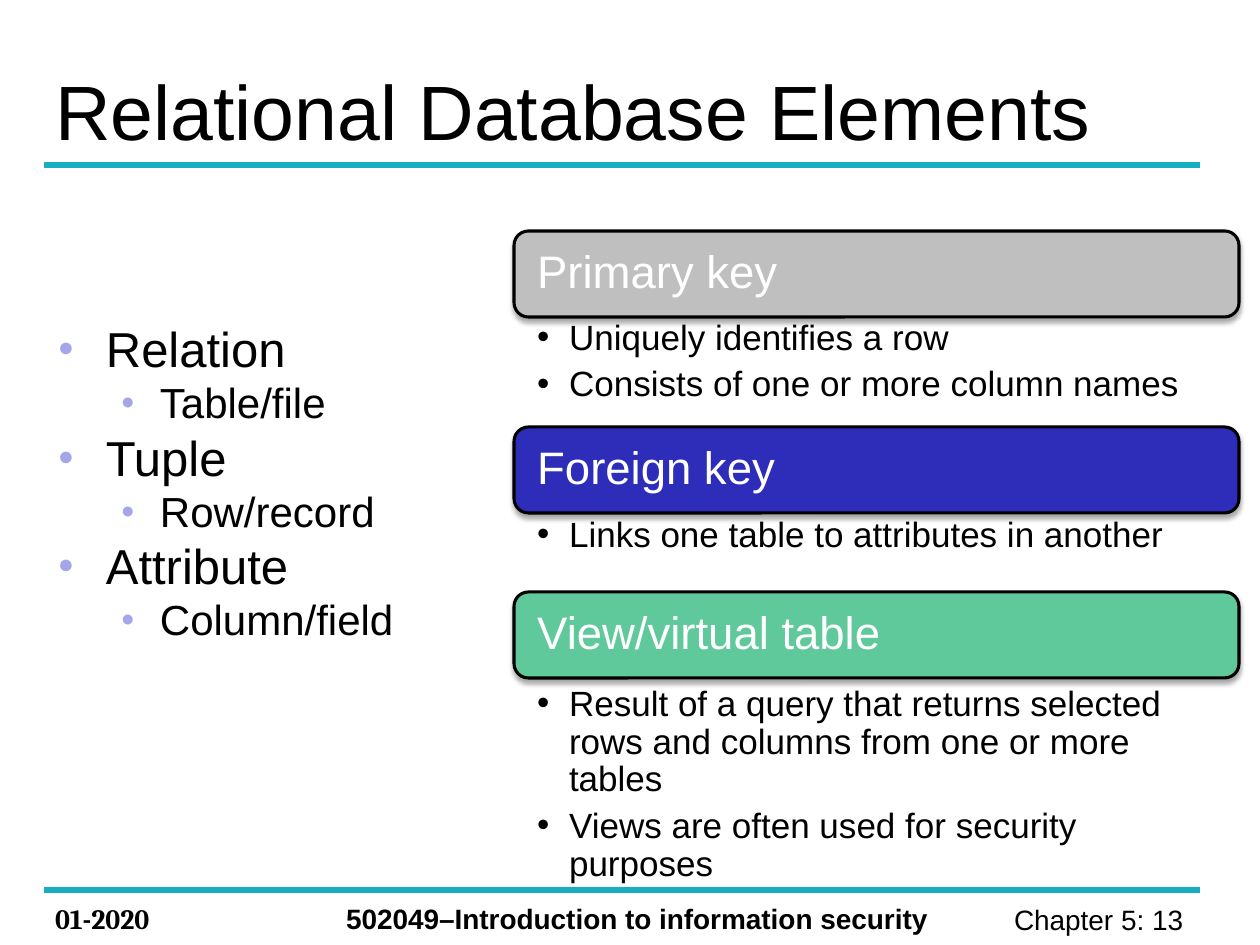
"""Builds the Relational Database Elements slide."""
from lxml import etree
from pptx import Presentation
from pptx.dml.color import RGBColor
from pptx.enum.shapes import MSO_CONNECTOR, MSO_SHAPE
from pptx.enum.text import MSO_ANCHOR, PP_ALIGN
from pptx.oxml.ns import qn
from pptx.util import Pt

PX = 914400 / 126
LEFT, RIGHT = PP_ALIGN.LEFT, PP_ALIGN.RIGHT
TOP, MIDDLE = MSO_ANCHOR.TOP, MSO_ANCHOR.MIDDLE
ROUNDED, STRAIGHT = MSO_SHAPE.ROUNDED_RECTANGLE, MSO_CONNECTOR.STRAIGHT
BLACK = RGBColor(0x00, 0x00, 0x00)
WHITE = RGBColor(0xFF, 0xFF, 0xFF)
TEAL = RGBColor(0x16, 0xAF, 0xC2)
LAVENDER = RGBColor(0xA5, 0xA5, 0xE9)
GREY = RGBColor(0xBF, 0xBF, 0xBF)
BLUE = RGBColor(0x2D, 0x2D, 0xB9)
GREEN = RGBColor(0x60, 0xC9, 0x9C)

TERMS = [("Relation", "Table/file"), ("Tuple", "Row/record"), ("Attribute", "Column/field")]
TERM_STYLES = [
    dict(size=28, level=0, space_before=Pt(6.5), bullet=("●", 48, 48, LAVENDER, 55)),
    dict(size=24, level=1, space_before=Pt(5.5), bullet=("●", 102, 39, LAVENDER, 55)),
]
KEYS = [
    ("Primary key", GREY, 231, 316, 112,
     ["Uniquely identifies a row", "Consists of one or more column names"]),
    ("Foreign key", BLUE, 427, 513, 112, ["Links one table to attributes in another"]),
    ("View/virtual table", GREEN, 592, 682, 199,
     ["Result of a query that returns selected rows and columns from one or more tables",
      "Views are often used for security purposes"]),
]
KEY_X, KEY_W, KEY_H = 514, 725, 86


def px(*lengths):
    """Turn pixel lengths into EMU."""
    return [round(n * PX) for n in lengths]


def child(parent, tag, **attrs):
    """Append an XML child with the given attributes."""
    el = etree.SubElement(parent, qn(tag))
    for name, value in attrs.items():
        el.set(name, str(value))
    return el


class SlideBuilder:
    """Holds the style and the current slide."""

    font = "Arial"
    margins = (13, 6, 13, 6)

    def __init__(self, prs):
        self.slide = prs.slides.add_slide(prs.slide_layouts[5])
        self.shapes = self.slide.shapes

    def frame(self, sp, margins=None, anchor=TOP):
        """Set insets and anchor, and return the text frame."""
        tf = sp.text_frame
        sides = ("margin_left", "margin_top", "margin_right", "margin_bottom")
        values = dict(zip(sides, px(*(margins or self.margins))))
        values.update(word_wrap=True, vertical_anchor=anchor)
        for name, value in values.items():
            setattr(tf, name, value)
        return tf

    def paragraph(self, tf, text, size, color=BLACK, font=None, bold=False, bullet=None, **fmt):
        """Write text into the first empty paragraph or a new one."""
        p = tf.paragraphs[0] if not tf.text else tf.add_paragraph()
        for name, value in fmt.items():
            setattr(p, name, value)
        r = p.add_run()
        r.text = text
        for name, value in dict(size=Pt(size), bold=bold, name=font or self.font).items():
            setattr(r.font, name, value)
        r.font.color.rgb = color
        if bullet:
            self.bullet(p, *bullet)

    def bullet(self, p, char, left, hang, color, percent):
        """Give a paragraph a hanging bullet."""
        ppr = p._p.get_or_add_pPr()
        margin, indent = px(left, -hang)
        ppr.set("marL", str(margin))
        ppr.set("indent", str(indent))
        child(child(ppr, "a:buClr"), "a:srgbClr", val=color)
        child(ppr, "a:buSzPct", val=percent * 1000)
        child(ppr, "a:buFont", typeface=self.font)
        child(ppr, "a:buChar", char=char)

    def title(self, text, *box):
        """Place and format the title placeholder."""
        sp = self.shapes.title
        sp.left, sp.top, sp.width, sp.height = px(*box)
        self.paragraph(self.frame(sp, anchor=MIDDLE), text, 44, alignment=LEFT)

    def textbox(self, *box, margins=None):
        """Add a text box and return its text frame."""
        return self.frame(self.shapes.add_textbox(*px(*box)), margins)

    def rule(self, y):
        """Add a horizontal teal rule."""
        line = self.shapes.add_connector(STRAIGHT, *px(44, y, 1200, y))
        line.line.color.rgb = TEAL
        line.line.width = Pt(3)
        child(line._element.spPr, "a:effectLst")

    def heading(self, text, fill, *box):
        """Add a rounded heading bar with a soft shadow."""
        sp = self.shapes.add_shape(ROUNDED, *px(*box))
        sp.fill.solid()
        sp.fill.fore_color.rgb = fill
        sp.line.color.rgb = BLACK
        sp.line.width = Pt(1.75)
        sp.shadow.inherit = False
        effects = sp._element.spPr.find(qn("a:effectLst"))
        shadow = child(effects, "a:outerShdw", blurRad=Pt(3.1), dist=Pt(1.8),
                       dir=5400000, rotWithShape=0)
        child(child(shadow, "a:srgbClr", val=BLACK), "a:alpha", val=35000)
        tf = self.frame(sp, (19, 14, 19, 14), MIDDLE)
        self.paragraph(tf, text, 26, WHITE, alignment=LEFT, line_spacing=0.9)


def main():
    """Build and save the slide."""
    prs = Presentation()
    prs.slide_width, prs.slide_height = px(1260, 945)
    s = SlideBuilder(prs)
    s.title("Relational Database Elements", 42, 0, 1134, 220)
    for y in (165, 890):
        s.rule(y)

    tf = s.textbox(45, 324, 514, 322)
    for pair in TERMS:
        for text, style in zip(pair, TERM_STYLES):
            s.paragraph(tf, text, line_spacing=0.8, **style)

    for name, fill, top, body_top, body_h, points in KEYS:
        s.heading(name, fill, KEY_X, top, KEY_W, KEY_H)
        tf = s.textbox(KEY_X, body_top, KEY_W, body_h, margins=(23, 4, 20, 4))
        for text in points:
            s.paragraph(tf, text, 20, level=1, line_spacing=0.9, space_after=Pt(5),
                        bullet=("•", 32, 32, BLACK, 100))

    s.paragraph(s.textbox(42, 896, 168, 47), "01-2020", 16, font="Cambria", bold=True)
    s.paragraph(s.textbox(333, 896, 635, 47),
                "502049–Introduction to information security", 16, bold=True)
    s.paragraph(s.textbox(927, 897, 277, 47), "Chapter 5: 13 ", 16, alignment=RIGHT)
    prs.save("out.pptx")


if __name__ == "__main__":
    main()
